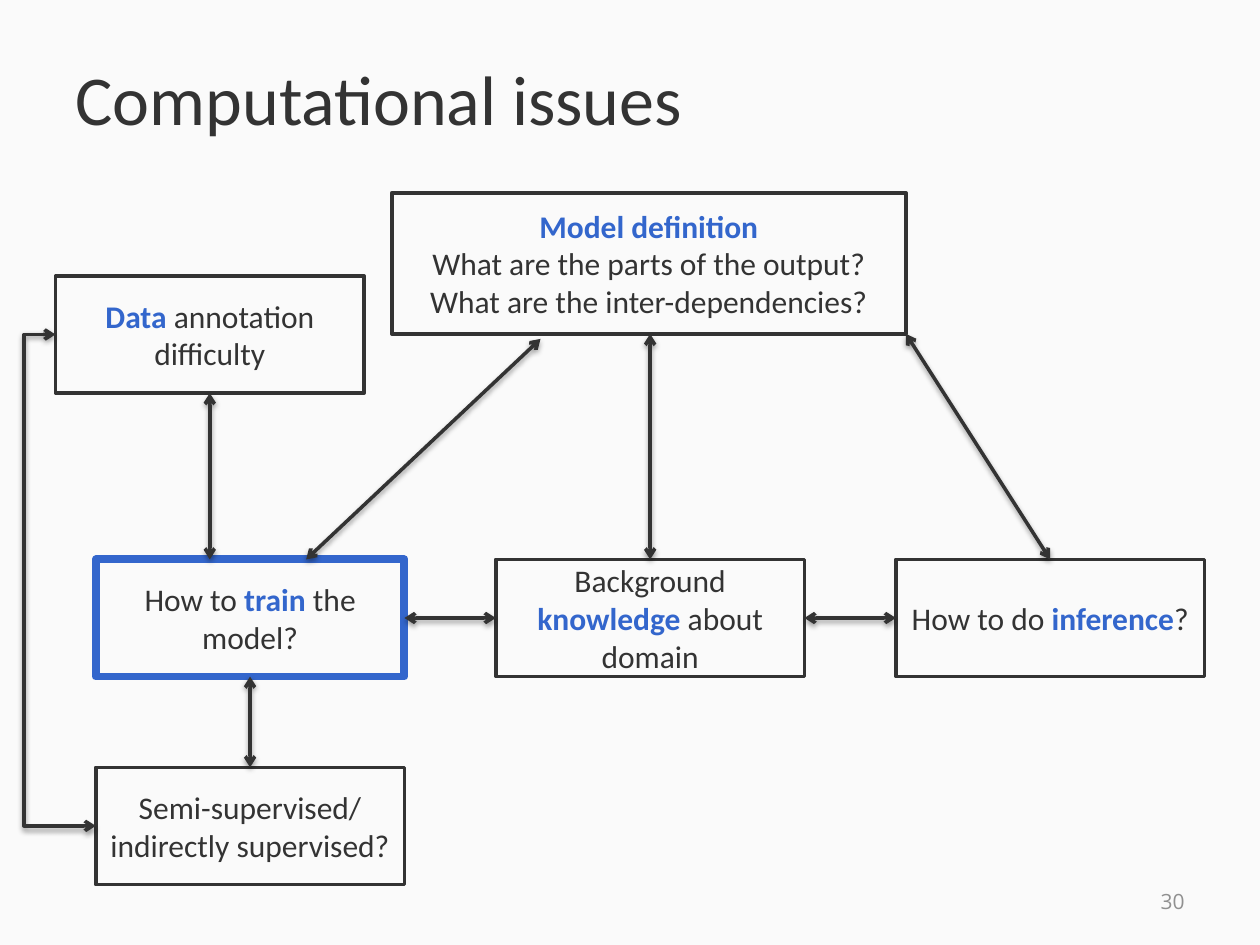
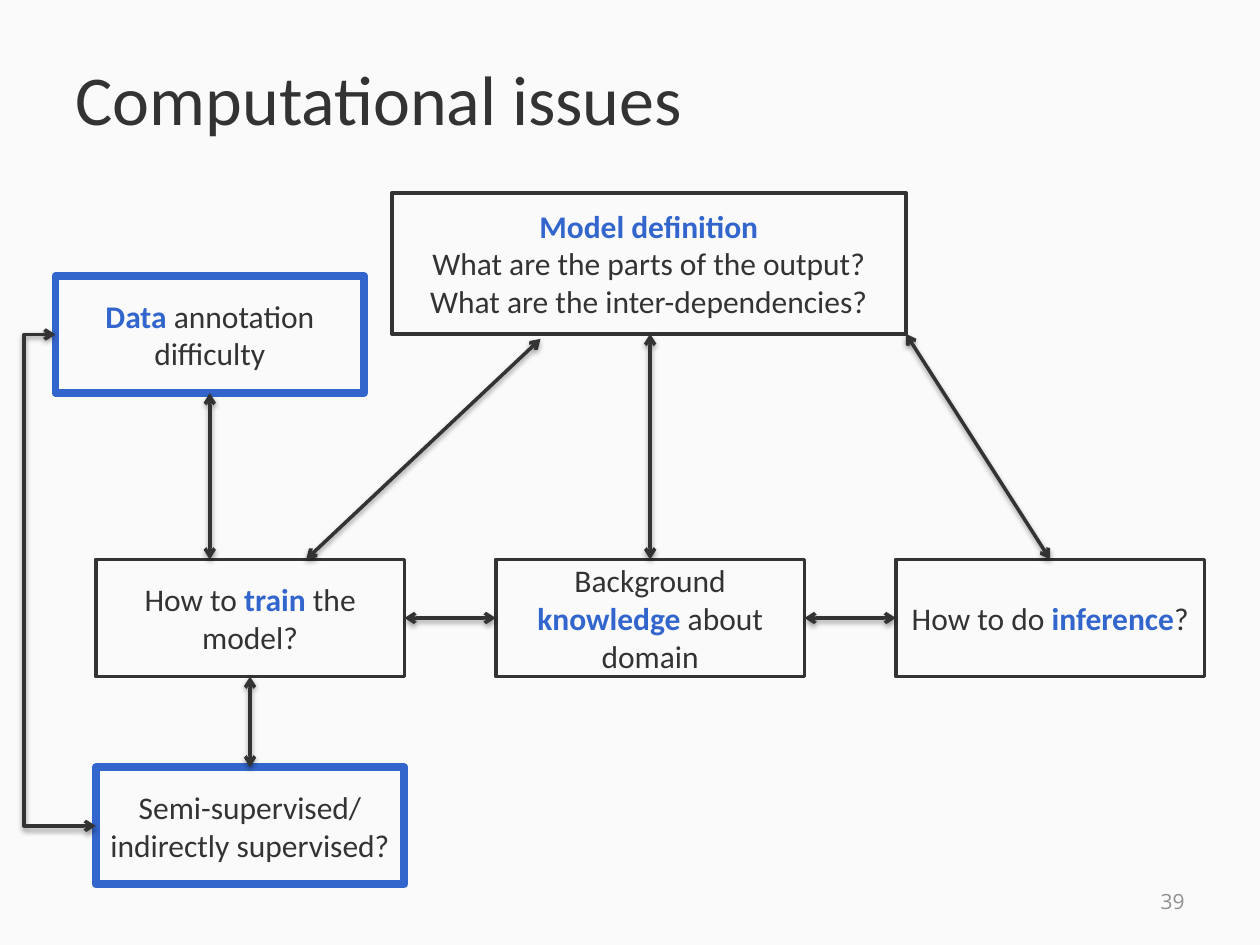
from dataclasses import dataclass

import lxml.etree
import pptx
import pptx.dml.color
import pptx.enum.shapes
import pptx.enum.text
import pptx.oxml.ns
import pptx.util

Inches = pptx.util.Inches
Pt = pptx.util.Pt
qn = pptx.oxml.ns.qn
Align = pptx.enum.text.PP_ALIGN
ConnectorKind = pptx.enum.shapes.MSO_CONNECTOR

COLORS = {
    "paper": "FAFAFA",
    "ink": "333333",
    "accent": "3366CC",
    "number": "909090",
    "shadow": "000000",
}
BODY_FONT = "Calibri"
NUMBER_FONT = "Open Sans"
TITLE = "Computational issues"


@dataclass(frozen=True)
class Issue:
    text: str
    left: float
    top: float
    width: float = 2.45
    height: float = 0.93

    @property
    def right(self) -> float:
        return self.left + self.width

    @property
    def bottom(self) -> float:
        return self.top + self.height

    @property
    def center(self) -> float:
        return self.left + self.width / 2

    @property
    def middle(self) -> float:
        return self.top + self.height / 2


@dataclass(frozen=True)
class Link:
    start: tuple[float, float]
    end: tuple[float, float]
    bend: float | None = None


@dataclass(frozen=True)
class IssueSlide:
    number: int
    focus: tuple[Issue, ...]


ROW_TOP = 4.44
COLUMNS = [0.76 + 3.175 * step for step in range(3)]

MODEL = Issue(
    "*Model definition*\nWhat are the parts of the output? What are the inter-dependencies?",
    3.11, 1.53, 4.08, 1.12,
)
TRAINING = Issue("How to *train *the model?", COLUMNS[0], ROW_TOP)
KNOWLEDGE = Issue("Background *knowledge* about domain", COLUMNS[1], ROW_TOP)
INFERENCE = Issue("How to do *inference*?", COLUMNS[2], ROW_TOP)
DATA = Issue("*Data *annotation difficulty", 0.44, 2.19)
SUPERVISION = Issue("Semi-supervised/indirectly supervised?", COLUMNS[0], 6.09)

ISSUES = [MODEL, TRAINING, INFERENCE, DATA, KNOWLEDGE, SUPERVISION]
LINKS = [
    Link((INFERENCE.center, INFERENCE.top), (MODEL.right, MODEL.bottom)),
    Link((DATA.center, TRAINING.top), (DATA.center, DATA.bottom)),
    Link((KNOWLEDGE.center, KNOWLEDGE.top), (KNOWLEDGE.center, MODEL.bottom)),
    Link((DATA.left, DATA.middle), (SUPERVISION.left, SUPERVISION.middle), bend=0.19),
    Link((KNOWLEDGE.right, KNOWLEDGE.middle), (INFERENCE.left, INFERENCE.middle)),
    Link((TRAINING.right, TRAINING.middle), (KNOWLEDGE.left, KNOWLEDGE.middle)),
    Link((2.43, TRAINING.top), (4.29, 2.69)),
    Link((TRAINING.center, SUPERVISION.top), (TRAINING.center, TRAINING.bottom)),
]
SLIDES = [
    IssueSlide(30, (TRAINING,)),
    IssueSlide(39, (DATA, SUPERVISION)),
]


def rgb(name: str) -> pptx.dml.color.RGBColor:
    return pptx.dml.color.RGBColor.from_string(COLORS[name])


def write(frame, text: str, *, size: float, color: str = "ink",
          font: str = BODY_FONT, align=Align.LEFT) -> None:
    frame.word_wrap = True
    frame.auto_size = pptx.enum.text.MSO_AUTO_SIZE.NONE
    frame.vertical_anchor = pptx.enum.text.MSO_ANCHOR.MIDDLE
    for index, line in enumerate(text.split("\n")):
        paragraph = frame.paragraphs[0] if index == 0 else frame.add_paragraph()
        paragraph.alignment = align
        for position, piece in enumerate(line.split("*")):
            if not piece:
                continue
            emphasized = position % 2 == 1
            run = paragraph.add_run()
            run.text = piece
            run.font.name = font
            run.font.size = Pt(size)
            run.font.bold = emphasized
            run.font.color.rgb = rgb("accent" if emphasized else color)


def draw_issue(slide, issue: Issue, focused: bool) -> None:
    box = slide.shapes.add_shape(
        pptx.enum.shapes.MSO_SHAPE.RECTANGLE,
        Inches(issue.left), Inches(issue.top), Inches(issue.width), Inches(issue.height),
    )
    box.shadow.inherit = False
    box.fill.solid()
    box.fill.fore_color.rgb = rgb("paper")
    box.line.color.rgb = rgb("accent" if focused else "ink")
    box.line.width = Pt(4.5 if focused else 2)
    write(box.text_frame, issue.text, size=18, align=Align.CENTER)


def add_child(parent, tag: str, **attributes: str):
    return lxml.etree.SubElement(parent, qn(tag), attributes)


def draw_link(slide, link: Link) -> None:
    kind = ConnectorKind.STRAIGHT if link.bend is None else ConnectorKind.ELBOW
    connector = slide.shapes.add_connector(
        kind, *(Inches(value) for value in (*link.start, *link.end))
    )
    connector.line.color.rgb = rgb("ink")
    connector.line.width = Pt(2)
    properties = connector._element.spPr
    outline = properties.find(qn("a:ln"))
    for tag in ("a:headEnd", "a:tailEnd"):
        add_child(outline, tag, type="arrow")
    if link.bend is not None:
        ratio = (link.bend - link.start[0]) / (link.end[0] - link.start[0])
        guides = properties.find(qn("a:prstGeom")).get_or_add_avLst()
        add_child(guides, "a:gd", name="adj1", fmla=f"val {round(ratio * 100000)}")
    effects = add_child(properties, "a:effectLst")
    shadow = add_child(effects, "a:outerShdw", blurRad=str(Pt(3.1)), dist=str(Pt(1.6)),
                       dir="5400000", rotWithShape="0")
    shade = add_child(shadow, "a:srgbClr", val=COLORS["shadow"])
    add_child(shade, "a:alpha", val="38000")


def draw_title(slide) -> None:
    title = slide.shapes.title
    title.left, title.top = Inches(0.5), Inches(0.15)
    title.width, title.height = Inches(9), Inches(1.25)
    write(title.text_frame, TITLE, size=40)


def draw_number(slide, number: int) -> None:
    box = slide.shapes.add_textbox(Inches(7.17), Inches(6.95), Inches(2.33), Inches(0.4))
    write(box.text_frame, str(number), size=12, color="number",
          font=NUMBER_FONT, align=Align.RIGHT)


def build_slide(deck, content: IssueSlide) -> None:
    slide = deck.slides.add_slide(deck.slide_layouts.get_by_name("Title Only"))
    draw_title(slide)
    draw_number(slide, content.number)
    for issue in ISSUES:
        draw_issue(slide, issue, issue in content.focus)
    for link in LINKS:
        draw_link(slide, link)


def main() -> None:
    deck = pptx.Presentation()
    deck.slide_width, deck.slide_height = Inches(10), Inches(7.5)
    background = deck.slide_master.background.fill
    background.solid()
    background.fore_color.rgb = rgb("paper")
    for content in SLIDES:
        build_slide(deck, content)
    deck.save("out.pptx")


if __name__ == "__main__":
    main()
